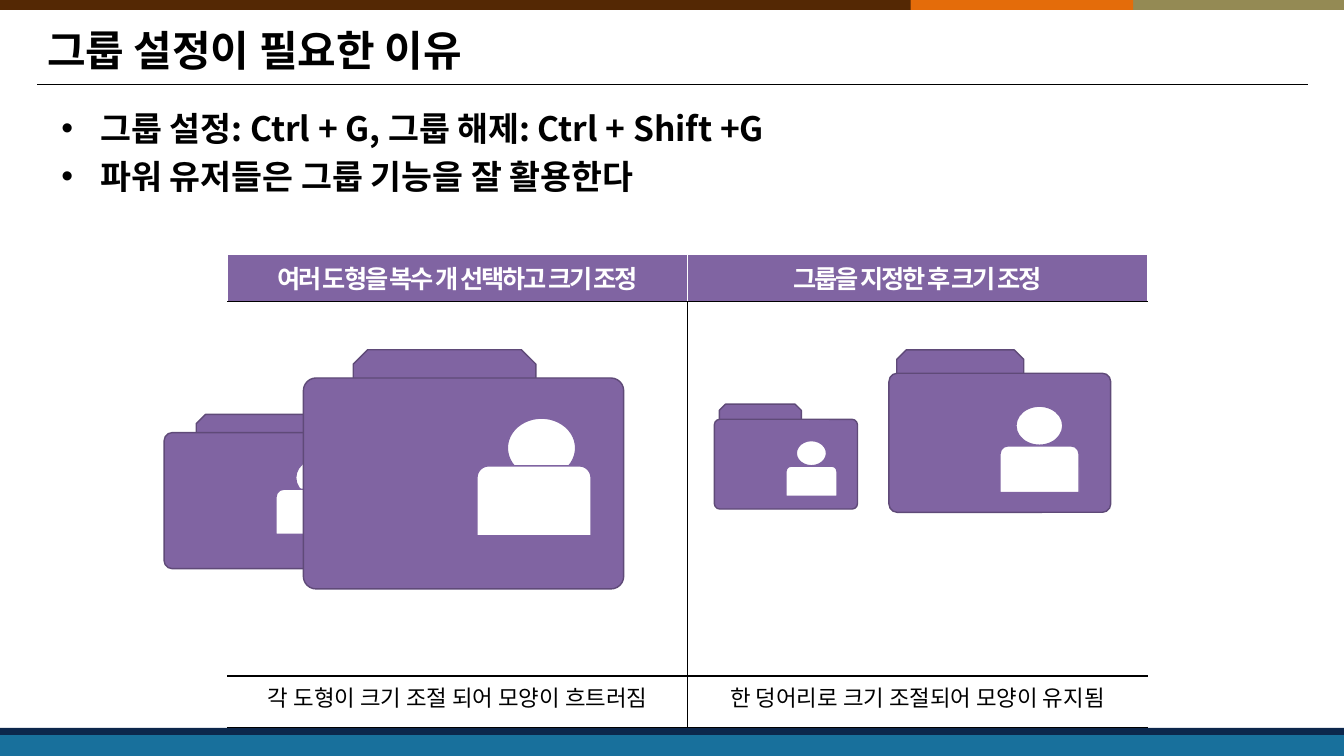
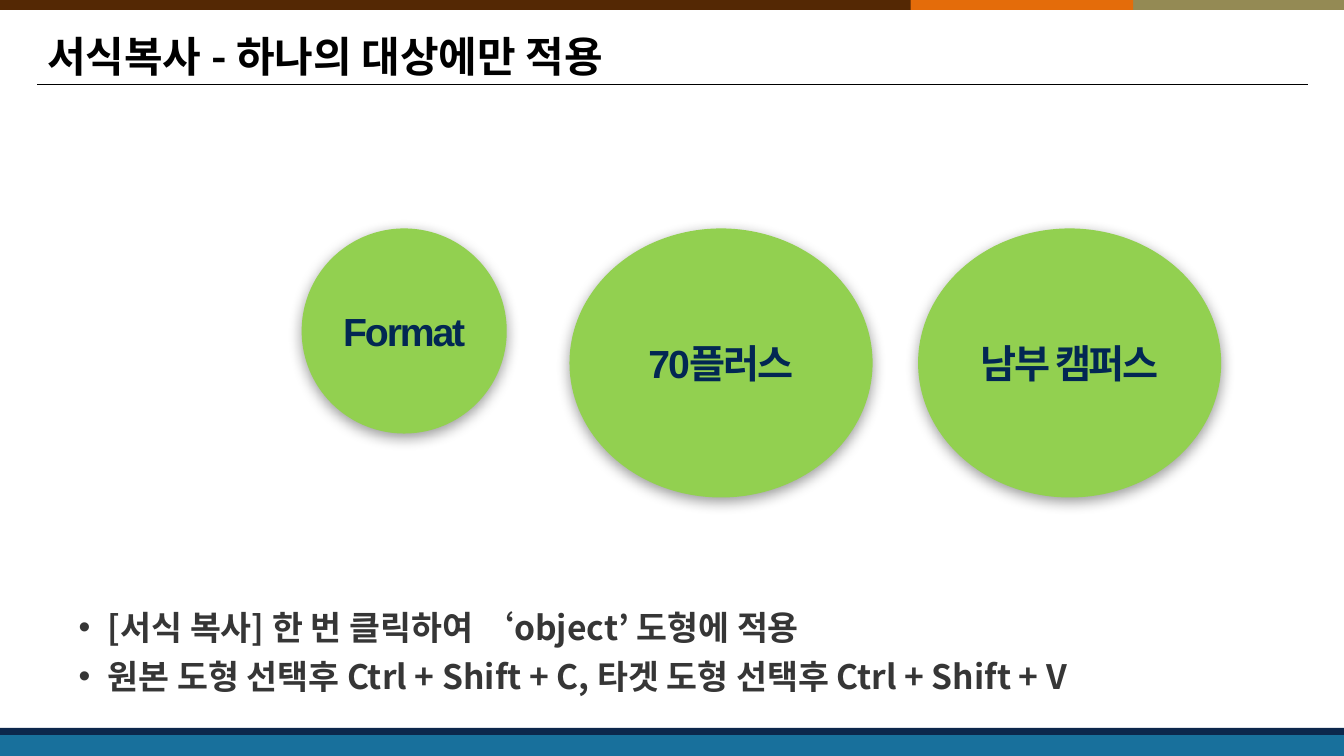
from lxml.etree import SubElement
from pptx import Presentation
from pptx.dml.color import RGBColor
from pptx.enum.shapes import MSO_CONNECTOR, MSO_SHAPE
from pptx.enum.text import MSO_ANCHOR, PP_ALIGN
from pptx.oxml.ns import qn
from pptx.util import Pt

FONT = "Noto Sans CJK KR"
WHITE, BLACK, NAVY = "FFFFFF", "000000", "0C274C"
PURPLE, PURPLE_EDGE = "8064A2", "5F4A78"
GREEN, LABEL, CHARCOAL = "92D050", "022753", "363636"
WIDTH, HEIGHT = 960, 540
BANDS = [  # left, top, width, height, colour
    (0, 0, WIDTH, 7, "948A54"),
    (0, 0, 809.5, 7, "E46C0A"),
    (0, 0, 650.5, 7, "542804"),
    (0, 524, WIDTH, 16, "18709C"),
    (0, 520, WIDTH, 5, NAVY),
]

# Folder parts, relative to the top left corner of the folder's front
WIDE_FOLDER = {"tab": (23, -13, 84.2, 23), "front": (0, 0, 147.6, 97.2),
               "head": (94, 18.5, 31.5, 27.5), "torso": (80, 40.5, 52.6, 32.2)}
SMALL_FOLDER = {"tab": (3.6, -10.8, 58.5, 15.2), "front": (0, 0, 102.2, 64.1),
                "head": (58.5, 15.2, 21.6, 18), "torso": (51.2, 33.5, 36.4, 21.5)}
ENLARGED = 1.55


def colour(code):
    return RGBColor.from_string(code)


class Lesson:
    """Holds the deck, its style and the slide being filled."""

    def __init__(self):
        self.deck = Presentation()
        self.deck.slide_width, self.deck.slide_height = Pt(WIDTH), Pt(HEIGHT)
        self.page = None

    def new_page(self, title, title_height):
        self.page = self.deck.slides.add_slide(self.deck.slide_layouts[6])
        for left, top, width, height, fill in BANDS:
            self.shape(MSO_SHAPE.RECTANGLE, (left, top, width, height), fill)
        self.rule(26.5, 60.5, 934)
        frame = self.text_box(26.5, 16, 907, title_height)
        frame.vertical_anchor = MSO_ANCHOR.MIDDLE
        para = frame.paragraphs[0]
        para.line_spacing = Pt(33)
        self.span(para, title, 30)

    def rule(self, left, top, right):
        line = self.page.shapes.add_connector(
            MSO_CONNECTOR.STRAIGHT, Pt(left), Pt(top), Pt(right), Pt(top))
        line.line.color.rgb = colour(BLACK)
        line.line.width = Pt(0.5)
        SubElement(line._element.spPr, qn("a:effectLst"))

    def shape(self, kind, place, fill, edge=None, adjustments=()):
        shape = self.page.shapes.add_shape(kind, *(Pt(n) for n in place))
        shape.shadow.inherit = False
        shape.fill.solid()
        shape.fill.fore_color.rgb = colour(fill)
        if edge:
            shape.line.color.rgb = colour(edge)
            shape.line.width = Pt(1)
        else:
            shape.line.fill.background()
        for index, value in enumerate(adjustments):
            shape.adjustments[index] = value
        return shape

    def text_box(self, left, top, width, height):
        box = self.page.shapes.add_textbox(Pt(left), Pt(top), Pt(width), Pt(height))
        box.text_frame.word_wrap = True
        return box.text_frame

    def span(self, para, text, size, ink=BLACK, bold=True, font=FONT, spacing=0):
        span = para.add_run()
        span.text = text
        span.font.size, span.font.bold, span.font.name = Pt(size), bold, font
        span.font.color.rgb = colour(ink)
        properties = span.font._element
        SubElement(properties, qn("a:ea"), typeface=FONT)
        if spacing:
            properties.set("spc", str(int(spacing * 100)))

    def bullets(self, place, lines, indent, pitch, gap=0, ink=BLACK):
        frame = self.text_box(*place)
        for index, text in enumerate(lines):
            para = frame.add_paragraph() if index else frame.paragraphs[0]
            properties = para._p.get_or_add_pPr()
            properties.set("marL", str(Pt(indent)))
            properties.set("indent", str(Pt(-indent)))
            SubElement(properties, qn("a:buFont"), typeface="Arial")
            SubElement(properties, qn("a:buChar"), char="•")
            para.line_spacing = Pt(pitch)
            if index and gap:
                para.space_before = Pt(gap)
            self.span(para, text, 24, ink)

    def folder(self, left, top, parts, scale=1):
        looks = {
            "tab": (MSO_SHAPE.SNIP_2_SAME_RECTANGLE, PURPLE, PURPLE_EDGE, (0.29, 0)),
            "front": (MSO_SHAPE.ROUNDED_RECTANGLE, PURPLE, PURPLE_EDGE, (0.06,)),
            "head": (MSO_SHAPE.OVAL, WHITE, PURPLE, ()),
            "torso": (MSO_SHAPE.ROUND_2_SAME_RECTANGLE, WHITE, PURPLE, ()),
        }
        for name, (kind, fill, edge, adjustments) in looks.items():
            x, y, width, height = (n * scale for n in parts[name])
            self.shape(kind, (left + x, top + y, width, height), fill, edge, adjustments)

    def circle(self, left, top, width, height, label):
        circle = self.shape(MSO_SHAPE.OVAL, (left, top, width, height), GREEN)
        effects = circle._element.spPr.find(qn("a:effectLst"))
        shadow = SubElement(effects, qn("a:outerShdw"), blurRad=str(Pt(10)),
                            dist=str(Pt(3)), dir="5400000", rotWithShape="0")
        ink = SubElement(shadow, qn("a:srgbClr"), val=BLACK)
        SubElement(ink, qn("a:alpha"), val="40000")
        frame = circle.text_frame
        frame.vertical_anchor = MSO_ANCHOR.MIDDLE
        para = frame.paragraphs[0]
        para.alignment = PP_ALIGN.CENTER
        self.span(para, label, 28, LABEL, font="Arial", spacing=-1.5)

    def comparison(self, left, top, column_width, row_heights, headings, captions):
        """Two-column table: headings, room for drawings, captions."""
        table = self.page.shapes.add_table(
            3, 2, Pt(left), Pt(top), Pt(2 * column_width), Pt(sum(row_heights))).table
        for column in table.columns:
            column.width = Pt(column_width)
        for row, height in zip(table.rows, row_heights):
            row.height = Pt(height)
        for r, texts in enumerate((headings, ("", ""), captions)):
            for c, text in enumerate(texts):
                cell = table.cell(r, c)
                inner = BLACK if r else WHITE
                self.borders(cell, L=inner if c else WHITE, R=WHITE if c else inner,
                             T=inner, B=BLACK)
                cell.fill.solid()
                cell.fill.fore_color.rgb = colour(WHITE if r else PURPLE)
                para = cell.text_frame.paragraphs[0]
                para.alignment = PP_ALIGN.CENTER
                if text and r:
                    self.span(para, text, 16, bold=False)
                elif text:
                    self.span(para, text, 18, WHITE, spacing=-1.5)

    def borders(self, cell, **sides):
        properties = cell._tc.get_or_add_tcPr()
        for side, ink in sides.items():
            line = SubElement(properties, qn(f"a:ln{side}"), w=str(Pt(1)))
            fill = SubElement(line, qn("a:solidFill"))
            SubElement(fill, qn("a:srgbClr"), val=ink)


def grouping_page(lesson):
    lesson.new_page("그룹 설정이 필요한 이유", 42.5)
    lesson.comparison(
        162.7, 181.8, 328.5, (33.8, 267.2, 36.7),
        ("여러 도형을 복수 개 선택하고 크기 조정", "그룹을 지정한 후 크기 조정"),
        ("각 도형이 크기 조절 되어 모양이 흐트러짐", "한 덩어리로 크기 조절되어 모양이 유지됨"))
    lesson.bullets(
        (36.7, 76.3, 680.4, 73.4),
        ("그룹 설정: Ctrl + G, 그룹 해제: Ctrl + Shift +G",
         "파워 유저들은 그룹 기능을 잘 활용한다"),
        indent=28, pitch=26.25, gap=7.5)
    lesson.folder(117.2, 309, WIDE_FOLDER)
    lesson.folder(216.7, 270, WIDE_FOLDER, ENLARGED)
    lesson.folder(510.3, 299.5, SMALL_FOLDER)
    lesson.folder(635, 266.6, SMALL_FOLDER, ENLARGED)


def format_copy_page(lesson):
    lesson.new_page("서식복사 - 하나의 대상에만 적용", 50.5)
    lesson.bullets(
        (49, 423.4, 833.8, 77),
        ("[서식 복사] 한 번 클릭하여 ‘object’ 도형에 적용",
         "원본 도형 선택후 Ctrl + Shift + C, 타겟 도형 선택후 Ctrl + Shift + V"),
        indent=21, pitch=35, ink=CHARCOAL)
    for left, width, height, label in ((215.5, 146.5, 146.5, "Format"),
                                       (406.8, 216.5, 192.2, "70플러스"),
                                       (655.8, 216.5, 192.2, "남부 캠퍼스")):
        lesson.circle(left, 163.2, width, height, label)


def main():
    lesson = Lesson()
    grouping_page(lesson)
    format_copy_page(lesson)
    lesson.deck.save("out.pptx")


if __name__ == "__main__":
    main()
